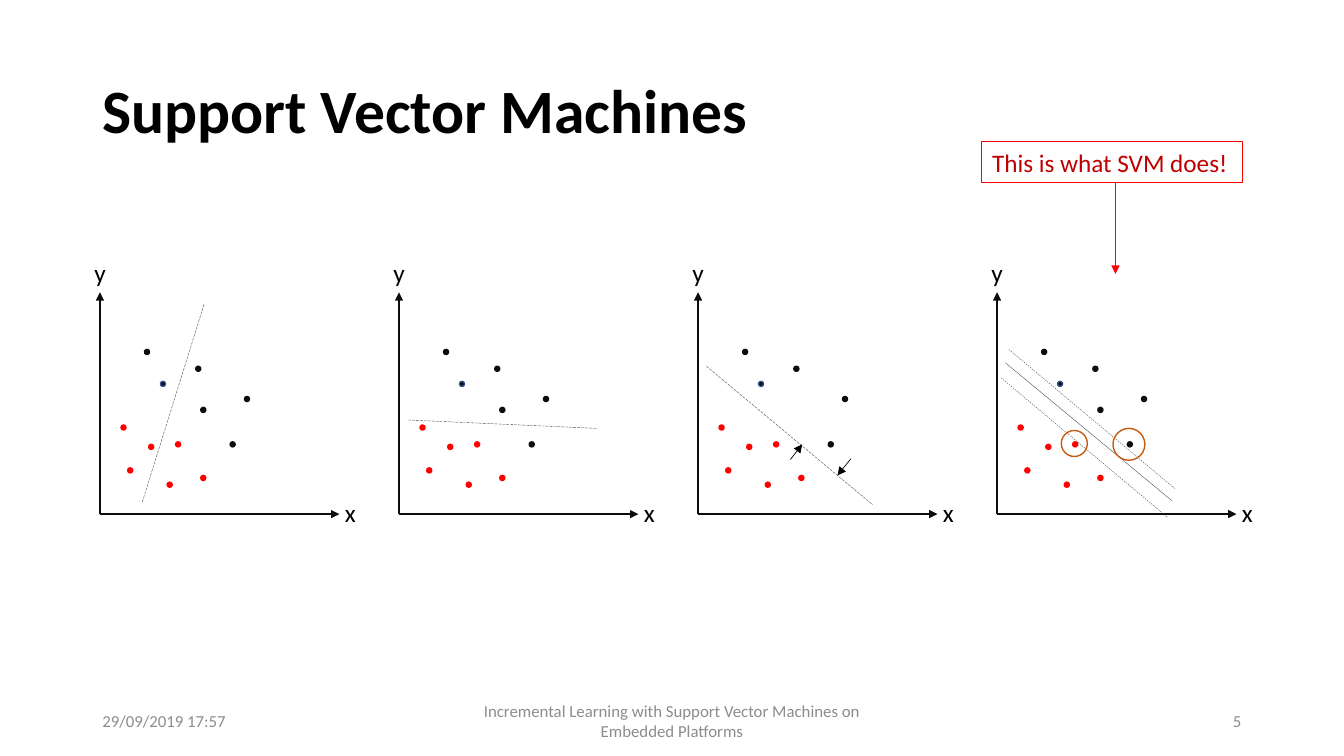
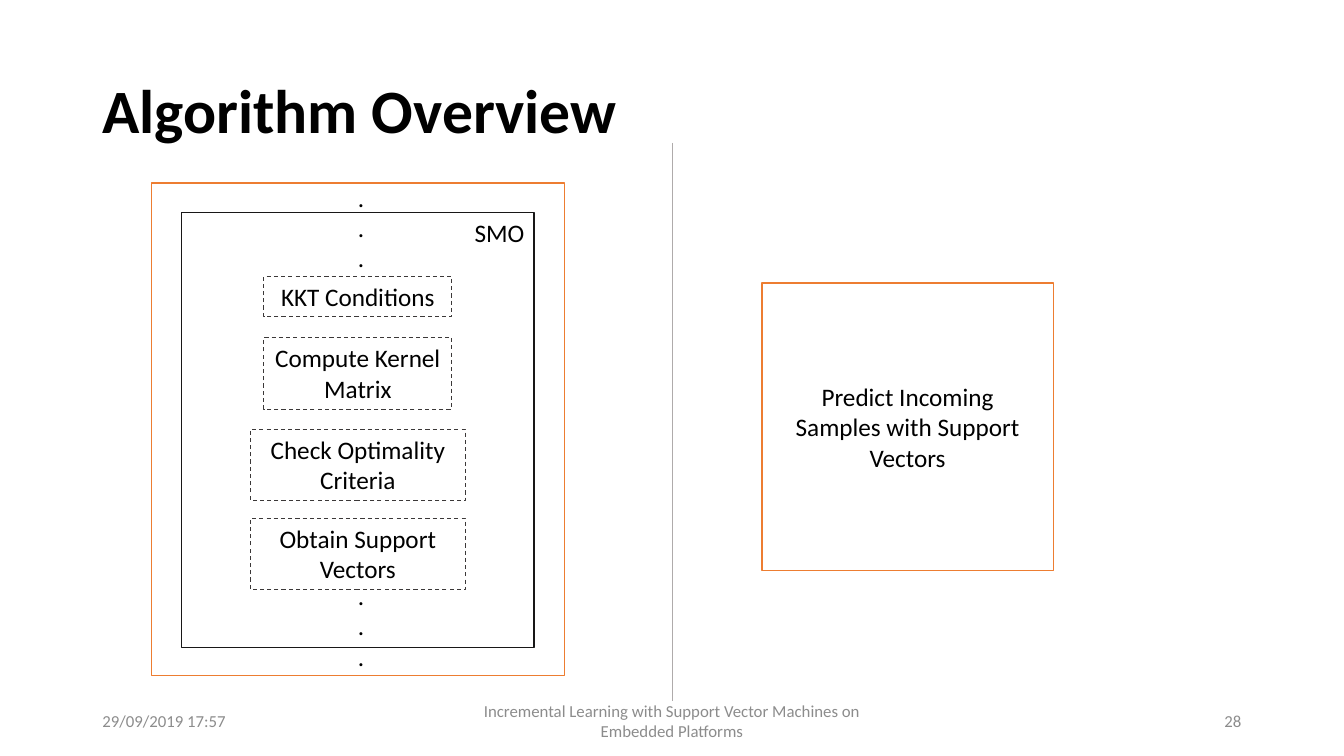
"""Build two slides on support vector machines, laid out on a grid of 160 columns by 90 rows."""
import dataclasses

import lxml.etree
import pptx
import pptx.dml.color
import pptx.enum.dml
import pptx.enum.shapes
import pptx.enum.text
import pptx.oxml.ns
import pptx.util


@dataclasses.dataclass(frozen=True)
class Theme:
    font: str = "Calibri"
    title_size: float = 44
    body_size: float = 18
    footer_size: float = 12
    text: str = "000000"
    footer: str = "8C8C8C"
    ink: str = "0D0D0D"
    blue: str = "325491"
    red: str = "FF0000"
    dark_red: str = "C00000"
    ring: str = "C55A11"
    boundary: str = "404040"
    orange: str = "ED7D31"
    frame: str = "181717"
    step: str = "3B3838"
    divider: str = "AFABAB"


theme = Theme()
RGB = pptx.dml.color.RGBColor.from_string
DASH = pptx.enum.dml.MSO_LINE.DASH
LONG_DASH = pptx.enum.dml.MSO_LINE.LONG_DASH
RECTANGLE = pptx.enum.shapes.MSO_SHAPE.RECTANGLE
OVAL = pptx.enum.shapes.MSO_SHAPE.OVAL
LEFT, CENTER, RIGHT = (getattr(pptx.enum.text.PP_ALIGN, name) for name in ("LEFT", "CENTER", "RIGHT"))
TOP, MIDDLE = pptx.enum.text.MSO_ANCHOR.TOP, pptx.enum.text.MSO_ANCHOR.MIDDLE

presentation = pptx.Presentation()
presentation.slide_width = pptx.util.Inches(13.33)
presentation.slide_height = pptx.util.Inches(7.5)
column = presentation.slide_width / 160
row = presentation.slide_height / 90


def add_box(slide, left, top, width, height, text="", kind=None, fill=None, line=None, weight=1,
            dash=None, size=theme.body_size, color=theme.text, align=LEFT, anchor=TOP, inset=1.2):
    place = [round(length) for length in (left * column, top * row, width * column, height * row)]
    shape = slide.shapes.add_textbox(*place) if kind is None else slide.shapes.add_shape(kind, *place)
    shape.shadow.inherit = False
    if fill:
        shape.fill.solid()
        shape.fill.fore_color.rgb = RGB(fill)
    else:
        shape.fill.background()
    if line:
        shape.line.color.rgb = RGB(line)
        shape.line.width = pptx.util.Pt(weight)
        shape.line.dash_style = dash
    else:
        shape.line.fill.background()
    if text:
        frame = shape.text_frame
        frame.word_wrap = True
        frame.vertical_anchor = anchor
        frame.margin_left = frame.margin_right = round(inset * column)
        for index, words in enumerate(text.split("\n")):
            paragraph = frame.add_paragraph() if index else frame.paragraphs[0]
            paragraph.alignment = align
            run = paragraph.add_run()
            run.text = words
            run.font.name = theme.font
            run.font.size = pptx.util.Pt(size)
            run.font.color.rgb = RGB(color)
    return shape


def add_line(slide, start_x, start_y, end_x, end_y, color, weight, dash=None, arrow=False):
    connector = slide.shapes.add_connector(
        pptx.enum.shapes.MSO_CONNECTOR.STRAIGHT, round(start_x * column), round(start_y * row),
        round(end_x * column), round(end_y * row))
    connector.line.color.rgb = RGB(color)
    connector.line.width = pptx.util.Pt(weight)
    connector.line.dash_style = dash
    properties = connector.element.spPr
    if arrow:
        outline = properties.find(pptx.oxml.ns.qn("a:ln"))
        lxml.etree.SubElement(outline, pptx.oxml.ns.qn("a:tailEnd"), type="triangle")
    lxml.etree.SubElement(properties, pptx.oxml.ns.qn("a:effectLst"))


slides = []
for title_text, number in (("Support Vector Machines", "5"), ("Algorithm Overview", "28")):
    slide = presentation.slides.add_slide(presentation.slide_layouts[5])
    slides.append(slide)
    title = slide.shapes.title
    title.left, title.width = round(11 * column), round(138 * column)
    title.top, title.height = round(4.8 * row), round(17.4 * row)
    title.text_frame.auto_size = pptx.enum.text.MSO_AUTO_SIZE.NONE
    title.text_frame.vertical_anchor = MIDDLE
    paragraph = title.text_frame.paragraphs[0]
    paragraph.alignment = LEFT
    paragraph.line_spacing = 0.9
    run = paragraph.add_run()
    run.text = title_text
    run.font.name = theme.font
    run.font.size = pptx.util.Pt(theme.title_size)
    run.font.bold = True
    run.font.color.rgb = RGB(theme.text)
    for left, width, text, align in (
        (11, 36, "29/09/2019 17:57", LEFT),
        (53, 54, "Incremental Learning with Support Vector Machines on Embedded Platforms", CENTER),
        (113, 36, number, RIGHT),
    ):
        add_box(slide, left, 83.4, width, 4.8, text, size=theme.footer_size,
                color=theme.footer, align=align, anchor=MIDDLE)

machines, overview = slides

base = 61.2
dot = 0.6
hidden_sample = (12.3, 12.4)
samples = (
    (theme.ink, theme.ink, ((5.6, 19.3), (11.7, 17.3), hidden_sample, (17.5, 13.7), (15.8, 8.3))),
    (theme.ink, theme.blue, ((7.5, 15.5),)),
    (theme.red, theme.red, ((9.3, 8.3), (2.8, 10.3), (3.6, 5.2), (8.3, 3.5), (12.3, 4.3), (6.1, 8))),
)
boundaries = (
    ((12.4, 25, 5, 1.3, LONG_DASH),),
    ((1.1, 11.2, 23.6, 10.2, LONG_DASH),),
    ((1, 17.6, 20.8, 1.1, LONG_DASH),),
    ((1, 18, 20.8, 1.6, None), (1.4, 19.6, 21.2, 3, DASH), (0.5, 16.2, 20.3, -0.4, DASH)),
)
origins = [11.9 + 35.6 * index for index in range(4)]
for index, (origin, plot_boundaries) in enumerate(zip(origins, boundaries)):
    for end_x, end_y in ((0, 26.4), (28.5, 0)):
        add_line(machines, origin, base, origin + end_x, base - end_y, theme.ink, 1.5, arrow=True)
    for letter, center, top in (("y", 0, 30), ("x", 29.8, 58.6)):
        add_box(machines, origin + center - 1.5, top, 3, 4.8, letter, align=CENTER, inset=0)
    for fill, line, points in samples:
        for x, y in points:
            if index != 2 or (x, y) != hidden_sample:
                add_box(machines, origin + x - dot / 2, base - y - dot / 2, dot, dot,
                        kind=OVAL, fill=fill, line=line)
    for start_x, start_y, end_x, end_y, dash in plot_boundaries:
        add_line(machines, origin + start_x, base - start_y, origin + end_x, base - end_y,
                 theme.boundary, 0.25, dash)

for start_x, start_y, end_x, end_y in ((18.2, 6.6, 16.6, 4.6), (11, 6.5, 12.4, 8.3)):
    add_line(machines, origins[2] + start_x, base - start_y, origins[2] + end_x, base - end_y,
             theme.text, 0.5, arrow=True)
for x, y, diameter in ((15.7, 8.3, 3.8), (9.2, 8.4, 3.1)):
    add_box(machines, origins[3] + x - diameter / 2, base - y - diameter / 2, diameter, diameter,
            kind=OVAL, line=theme.ring)
add_box(machines, 116.9, 16.9, 31, 4.8, "This is what SVM does!", RECTANGLE,
        line=theme.red, weight=0.75, color=theme.dark_red)
add_line(machines, 132.8, 21.7, 132.8, 32.6, theme.red, 0.5, arrow=True)

middle = 42.6
add_box(overview, middle - 21, 25.3, 42, 51.8, kind=RECTANGLE, line=theme.frame)
add_box(overview, 55.3, 25.3, 12.8, 4.8, "SMO")
for text, top, width, height in (
    ("KKT Conditions", 32.9, 22.4, 4.8),
    ("Compute Kernel Matrix", 40.2, 22.4, 8.5),
    ("Check Optimality Criteria", 51.1, 25.6, 8.5),
    ("Obtain Support Vectors", 61.7, 25.6, 8.5),
):
    add_box(overview, middle - width / 2, top, width, height, text, RECTANGLE,
            line=theme.step, weight=0.75, dash=DASH, align=CENTER)
add_box(overview, middle - 24.6, 21.8, 49.2, 58.6, kind=RECTANGLE, line=theme.orange)
add_box(overview, 90.7, 33.7, 34.7, 34.2, "Predict Incoming Samples with Support Vectors", RECTANGLE,
        line=theme.orange, align=CENTER, anchor=MIDDLE, inset=2)
for top in (21.1, 68.5):
    add_box(overview, 41.4, top, 8.3, 12.1, ".\n.\n.")
add_line(overview, 80, 17, 80, 83.4, theme.divider, 0.5)

presentation.save("out.pptx")
